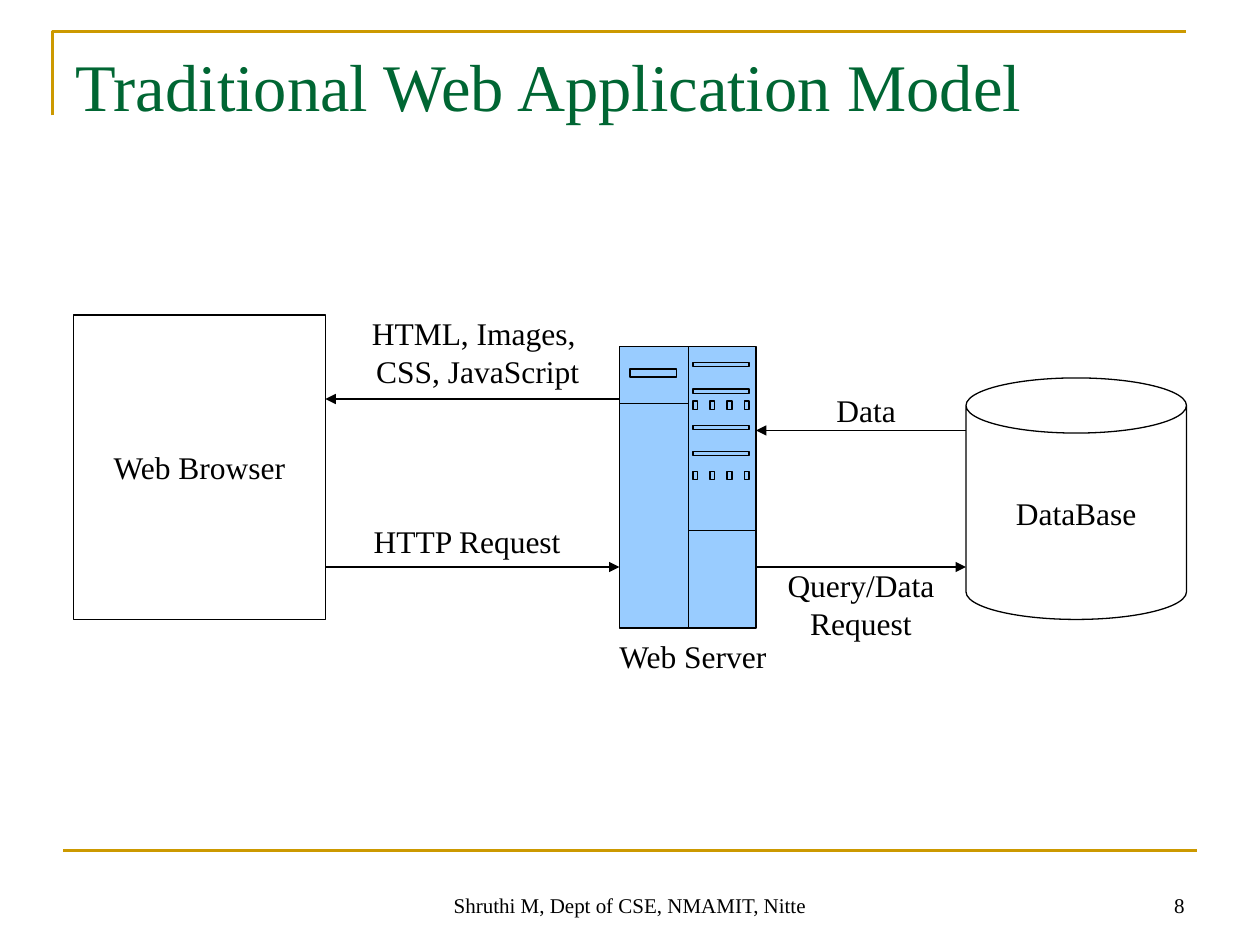
from dataclasses import dataclass

from lxml import etree
from pptx import Presentation
from pptx.dml.color import RGBColor
from pptx.enum.shapes import MSO_CONNECTOR, MSO_SHAPE
from pptx.enum.text import MSO_ANCHOR, PP_ALIGN
from pptx.oxml.ns import qn
from pptx.util import Inches, Pt

LEFT, CENTER, RIGHT = PP_ALIGN.LEFT, PP_ALIGN.CENTER, PP_ALIGN.RIGHT
TOP, MIDDLE, BOTTOM = MSO_ANCHOR.TOP, MSO_ANCHOR.MIDDLE, MSO_ANCHOR.BOTTOM
RECT, CAN = MSO_SHAPE.RECTANGLE, MSO_SHAPE.CAN
STRAIGHT = MSO_CONNECTOR.STRAIGHT

COLS, ROWS = 120, 90
FONT = "Times New Roman"
BLACK, GREEN, GOLD, SKY = "000000", "006633", "CC9900", "99CCFF"

Point = tuple[float, float]


@dataclass
class Box:
    col: float
    row: float
    cols: float
    rows: float


@dataclass
class Label:
    text: str
    box: Box
    size: int = 18
    color: str = BLACK
    align: PP_ALIGN = CENTER
    anchor: MSO_ANCHOR = MIDDLE
    wrap: bool = False


@dataclass
class Node:
    shape: MSO_SHAPE
    label: Label


@dataclass
class Arrow:
    start: Point
    end: Point


LABELS = [
    Label("Shruthi M, Dept of CSE, NMAMIT, Nitte", Box(41, 82, 38, 6), 12, anchor=BOTTOM, wrap=True),
    Label("8", Box(86, 82, 28, 6), 12, align=RIGHT, anchor=BOTTOM, wrap=True),
    Label("Traditional Web Application Model", Box(6, 3.65, 108, 15), 38, GREEN, LEFT, TOP, True),
    Label("Web Server", Box(54, 60, 24, 5)),
    Label("HTML, Images, \nCSS, JavaScript", Box(34, 30, 23, 7)),
    Label("Query/Data\nRequest", Box(73, 54, 18, 7)),
    Label("Data", Box(74, 37, 17, 4)),
    Label("HTTP Request", Box(33, 49, 23, 5)),
]
NODES = [
    Node(RECT, Label("Web Browser", Box(7, 30, 24, 29))),
    Node(CAN, Label("DataBase", Box(92, 36, 21, 23))),
]
ARROWS = [
    Arrow((59, 38), (31, 38)),
    Arrow((31, 54), (59, 54)),
    Arrow((72, 54), (92, 54)),
    Arrow((92, 41), (72, 41)),
]

SERVER = Box(59, 33, 13, 26.8)
SPLIT = 65.55
SLOT_ROWS = (34.5, 37.05, 40.5, 43)
BUTTON_ROWS = (38.2, 44.9)
BUTTON_COLS = [66 + 1.63 * i for i in range(4)]


def grid(n: float) -> int:
    return Inches(n * 10 / COLS)


def rgb(color: str) -> RGBColor:
    return RGBColor.from_string(color)


def outline(box: Box) -> list[Point]:
    right, bottom = box.col + box.cols, box.row + box.rows
    return [(box.col, box.row), (right, box.row), (right, bottom), (box.col, bottom), (box.col, box.row)]


def set_text(sp, label: Label) -> None:
    tf = sp.text_frame
    tf.word_wrap = label.wrap
    tf.vertical_anchor = label.anchor
    tf.text = label.text
    for p in tf.paragraphs:
        p.alignment = label.align
        p.font.name = FONT
        p.font.size = Pt(label.size)
        p.font.color.rgb = rgb(label.color)


def set_style(sp, color: str, width: float, fill: str | None = None) -> None:
    sp.shadow.inherit = False
    sp.line.color.rgb = rgb(color)
    sp.line.width = Pt(width)
    if fill:
        sp.fill.solid()
        sp.fill.fore_color.rgb = rgb(fill)
    else:
        sp.fill.background()


def add_label(s, label: Label) -> None:
    b = label.box
    set_text(s.shapes.add_textbox(*map(grid, (b.col, b.row, b.cols, b.rows))), label)


def add_node(s, node: Node) -> None:
    b = node.label.box
    sp = s.shapes.add_shape(node.shape, *map(grid, (b.col, b.row, b.cols, b.rows)))
    set_style(sp, BLACK, 0.75)
    set_text(sp, node.label)


def add_line(s, start: Point, end: Point, color: str, width: float):
    sp = s.shapes.add_connector(STRAIGHT, *map(grid, (*start, *end)))
    sp.line.color.rgb = rgb(color)
    sp.line.width = Pt(width)
    etree.SubElement(sp._element.spPr, qn("a:effectLst"))
    return sp


def add_arrow(s, arrow: Arrow) -> None:
    sp = add_line(s, arrow.start, arrow.end, BLACK, 0.75)
    etree.SubElement(sp.line._get_or_add_ln(), qn("a:tailEnd"), type="triangle")


def add_freeform(s, paths: list[list[Point]], color: str, width: float, fill: str | None = None) -> None:
    scaled = [[(grid(x), grid(y)) for x, y in path] for path in paths]
    fb = s.shapes.build_freeform(*scaled[0][0])
    for i, path in enumerate(scaled):
        if i:
            fb.move_to(*path[0])
        fb.add_line_segments(path[1:], close=path[0] == path[-1])
    set_style(fb.convert_to_shape(), color, width, fill)


def add_server(s) -> None:
    right, bottom = SERVER.col + SERVER.cols, SERVER.row + SERVER.rows
    parts = [Box(60, 35.15, 4.45, 0.75)]
    parts += [Box(66, row, 5.33, 0.4) for row in SLOT_ROWS]
    parts += [Box(col, row, 0.45, 0.8) for row in BUTTON_ROWS for col in BUTTON_COLS]
    dividers = [
        [(SPLIT, SERVER.row), (SPLIT, bottom)],
        [(SERVER.col, 38.4), (SPLIT, 38.4)],
        [(SPLIT, 50.5), (right, 50.5)],
    ]
    add_freeform(s, [outline(SERVER)], BLACK, 0.75, SKY)
    add_freeform(s, dividers + [outline(part) for part in parts], BLACK, 0.75)


def main() -> None:
    prs = Presentation()
    prs.slide_width, prs.slide_height = grid(COLS), grid(ROWS)
    s = prs.slides.add_slide(prs.slide_layouts[6])
    add_freeform(s, [[(5, 11), (5, 3), (113, 3)]], GOLD, 1.5)
    add_line(s, (6, 81), (114, 81), GOLD, 1.5)
    for node in NODES:
        add_node(s, node)
    for arrow in ARROWS:
        add_arrow(s, arrow)
    for label in LABELS:
        add_label(s, label)
    add_server(s)
    prs.save("out.pptx")


if __name__ == "__main__":
    main()
